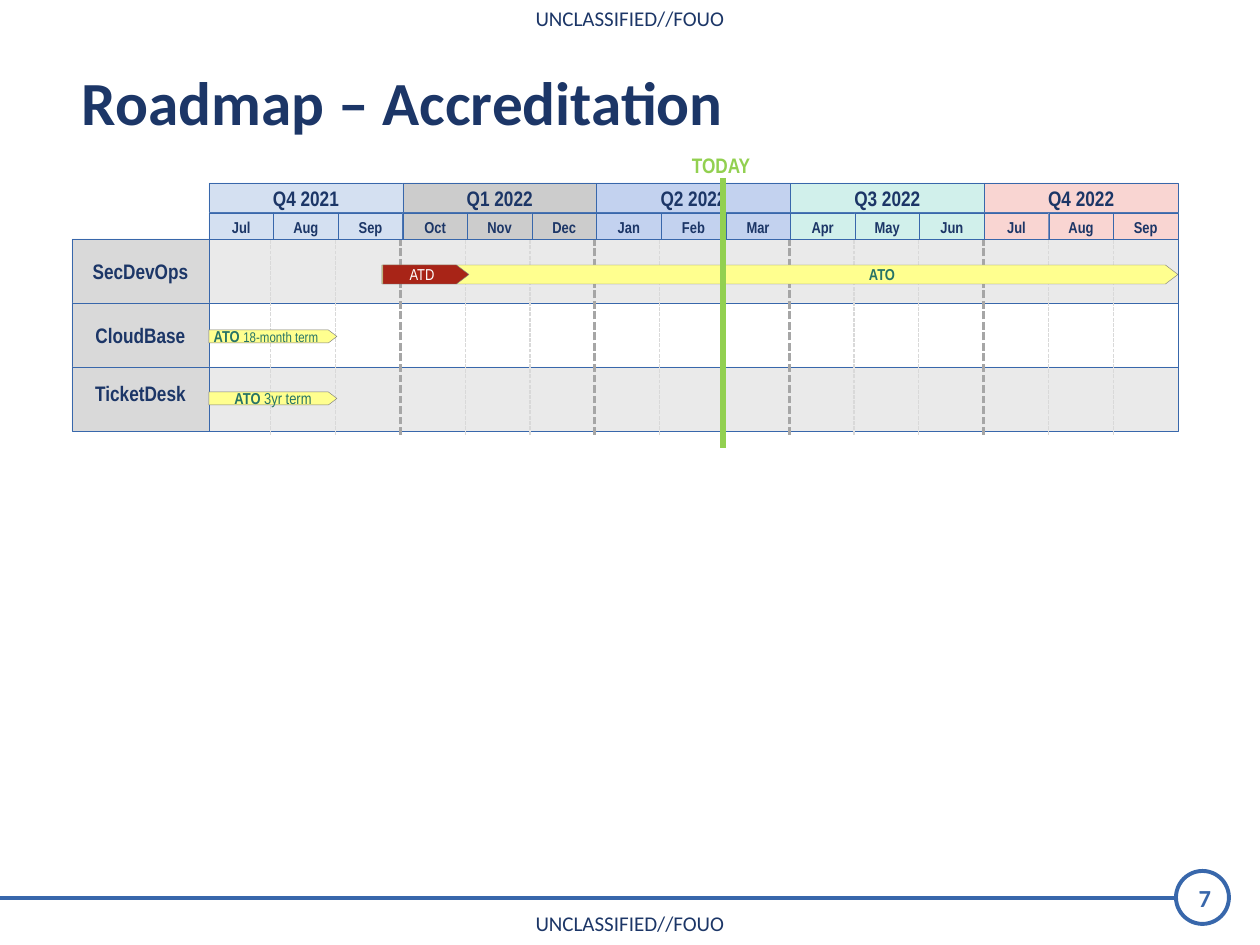
from dataclasses import dataclass

from lxml import etree
from pptx import Presentation
from pptx import util as u
from pptx.dml.color import RGBColor
from pptx.enum import dml, shapes, text
from pptx.oxml.ns import qn

TITLE = "Roadmap – Accreditation"
MARKING = "UNCLASSIFIED//FOUO"
PAGE_NUMBER = "7"
QUARTERS = [
    ("Q4 2021", "D4E0F1", ("Jul", "Aug", "Sep")),
    ("Q1 2022", "CCCCCC", ("Oct", "Nov", "Dec")),
    ("Q2 2022", "C3D2EF", ("Jan", "Feb", "Mar")),
    ("Q3 2022", "D1F0EB", ("Apr", "May", "Jun")),
    ("Q4 2022", "F9D5D2", ("Jul", "Aug", "Sep")),
]
# name, band colour, bottom inset that raises the name
LANES = [("SecDevOps", "EAEAEA", 0), ("CloudBase", "FFFFFF", 0), ("TicketDesk", "EAEAEA", 12)]


@dataclass(frozen=True)
class Theme:
    heading_font: str = "Calibri"
    chart_font: str = "Arial Narrow"
    navy: str = "1C3667"
    blue: str = "3867AB"
    label: str = "D9D9D9"
    month_line: str = "D9D9D9"
    quarter_line: str = "A6A6A6"
    bar_line: str = "7F7F7F"
    yellow: str = "FFFF8F"
    red: str = "A82417"
    teal: str = "267366"
    white: str = "FFFFFF"
    today: str = "92D050"
    title_size: int = 35
    number_size: int = 14
    head_size: int = 12
    small_size: int = 9
    tiny_size: int = 8


THEME = Theme()
SMALL = {"name": THEME.chart_font, "size": THEME.small_size, "color": THEME.teal, "bold": True}
HEAD = SMALL | {"size": THEME.head_size, "color": THEME.navy}
MONTH = SMALL | {"color": THEME.navy}
BANNER = {"name": THEME.heading_font, "size": THEME.head_size, "color": THEME.navy, "bold": False}
HEADLINE = BANNER | {"size": THEME.title_size, "bold": True}
NUMBER = HEADLINE | {"size": THEME.number_size, "color": THEME.blue}

# left, top, width, height, fill, text centre, text runs
BARS = [
    (382, 265, 796, 19, THEME.yellow, 882, [("ATO", SMALL)]),
    (209, 330, 128, 13, THEME.yellow, 266,
     [("ATO ", SMALL), ("18-month term", SMALL | {"size": THEME.tiny_size, "bold": False})]),
    (209, 392, 128, 13, THEME.yellow, 273,
     [("ATO ", SMALL), ("3yr term", SMALL | {"bold": False})]),
    (383, 265, 86, 19, THEME.red, 422,
     [("ATD", SMALL | {"color": THEME.white, "bold": False})]),
]

SLIDE_WIDTH, SLIDE_HEIGHT = 1260, 945
GRID_LEFT, GRID_RIGHT = 209, 1178
QUARTER_TOP, QUARTER_HEIGHT = 183, 29
MONTH_TOP, MONTH_HEIGHT = 213, 26
LANE_TOP, LANE_HEIGHT = 239, 64
LABEL_LEFT = 72
DASH_ORIGIN, DASH_STEP = 206, 64.8
MONTH_COUNT = 15


def px(value):
    return u.Emu(round(value * 914400 / 126))


def rgb(value):
    return RGBColor.from_string(value)


def write(shape, runs, align=text.PP_ALIGN.CENTER, anchor=text.MSO_ANCHOR.MIDDLE,
          wrap=False, insets=(0, 0, 0, 0)):
    frame = shape.text_frame
    left, top, right, bottom = map(px, insets)
    settings = {"margin_left": left, "margin_top": top, "margin_right": right,
                "margin_bottom": bottom, "word_wrap": wrap, "vertical_anchor": anchor,
                "auto_size": text.MSO_AUTO_SIZE.NONE}
    for name, value in settings.items():
        setattr(frame, name, value)
    paragraph = frame.paragraphs[0]
    paragraph.alignment = align
    for words, style in runs:
        run = paragraph.add_run()
        run.text = words
        for name, value in style.items():
            if name == "color":
                run.font.color.rgb = rgb(value)
            else:
                setattr(run.font, name, u.Pt(value) if name == "size" else value)


def add_box(slide, box, fill, line=THEME.blue, width=0.25, kind=shapes.MSO_SHAPE.RECTANGLE):
    shape = slide.shapes.add_shape(kind, *map(px, box))
    shape.shadow.inherit = False
    if fill:
        shape.fill.solid()
        shape.fill.fore_color.rgb = rgb(fill)
    else:
        shape.fill.background()
    shape.line.color.rgb = rgb(line)
    shape.line.width = u.Pt(width)
    return shape


def add_label(slide, box, runs, **options):
    write(slide.shapes.add_textbox(*map(px, box)), runs, **options)


def add_line(slide, start, end, color, width, dash=None):
    line = slide.shapes.add_connector(shapes.MSO_CONNECTOR.STRAIGHT, *map(px, start + end))
    line.line.color.rgb = rgb(color)
    line.line.width = u.Pt(width)
    if dash:
        line.line.dash_style = dash
    etree.SubElement(line._element.spPr, qn("a:effectLst"))


def add_frame(slide):
    """Title, markings and the footer rule with its page number."""
    for top in (0, 905):
        add_label(slide, (0, top, SLIDE_WIDTH, 38), [(MARKING, BANNER)],
                  wrap=True, anchor=text.MSO_ANCHOR.TOP, insets=(13, 6, 13, 6))
    add_line(slide, (0, 898), (1176, 898), THEME.blue, 2.25)
    circle = add_box(slide, (1176, 871, 53, 53), None, width=2.25, kind=shapes.MSO_SHAPE.OVAL)
    write(circle, [(PAGE_NUMBER, NUMBER)], insets=(5, 0, 0, 0))
    title = slide.shapes.title
    title.left, title.top, title.width, title.height = map(px, (69, 58, 814, 87))
    write(title, [(TITLE, HEADLINE)], align=text.PP_ALIGN.LEFT,
          anchor=text.MSO_ANCHOR.TOP, wrap=True, insets=(13, 6, 13, 6))


def add_lanes(slide):
    for index, (name, fill, raised) in enumerate(LANES):
        top = LANE_TOP + index * LANE_HEIGHT
        add_box(slide, (GRID_LEFT, top, GRID_RIGHT - GRID_LEFT, LANE_HEIGHT), fill)
        label = add_box(slide, (LABEL_LEFT, top, GRID_LEFT - LABEL_LEFT, LANE_HEIGHT), THEME.label)
        write(label, [(name, HEAD)], insets=(0, 0, 0, raised))
    for month in range(1, MONTH_COUNT):
        x = DASH_ORIGIN + month * DASH_STEP
        color, width = (THEME.month_line, 0.75) if month % 3 else (THEME.quarter_line, 1.5)
        add_line(slide, (x, 435), (x, 227), color, width, dml.MSO_LINE.SQUARE_DOT)


def add_calendar(slide):
    month_width = (GRID_RIGHT - GRID_LEFT) / MONTH_COUNT
    for index, (quarter, fill, months) in enumerate(QUARTERS):
        left = GRID_LEFT + index * 3 * month_width
        cells = [(quarter, HEAD, (left, QUARTER_TOP, 3 * month_width, QUARTER_HEIGHT))]
        cells += [(month, MONTH, (left + i * month_width, MONTH_TOP, month_width, MONTH_HEIGHT))
                  for i, month in enumerate(months)]
        for words, style, box in cells:
            write(add_box(slide, box, fill), [(words, style)], insets=(0, 2, 0, 0))


def add_bars(slide):
    for left, top, width, height, fill, centre, runs in BARS:
        bar = add_box(slide, (left, top, width, height), fill, THEME.bar_line,
                      kind=shapes.MSO_SHAPE.RIGHT_ARROW)
        bar.adjustments[0], bar.adjustments[1] = 1, 0.66
        add_label(slide, (centre - 60, top + height / 2 - 16, 120, 32), runs)


def add_today(slide):
    add_label(slide, (678, 157, 86, 16), [("TODAY", HEAD | {"color": THEME.today})])
    add_line(slide, (723, 178), (723, 448), THEME.today, 3)


def main():
    presentation = Presentation()
    presentation.slide_width, presentation.slide_height = px(SLIDE_WIDTH), px(SLIDE_HEIGHT)
    slide = presentation.slides.add_slide(presentation.slide_layouts[5])
    for add_part in (add_frame, add_lanes, add_calendar, add_bars, add_today):
        add_part(slide)
    presentation.save("out.pptx")


if __name__ == "__main__":
    main()
